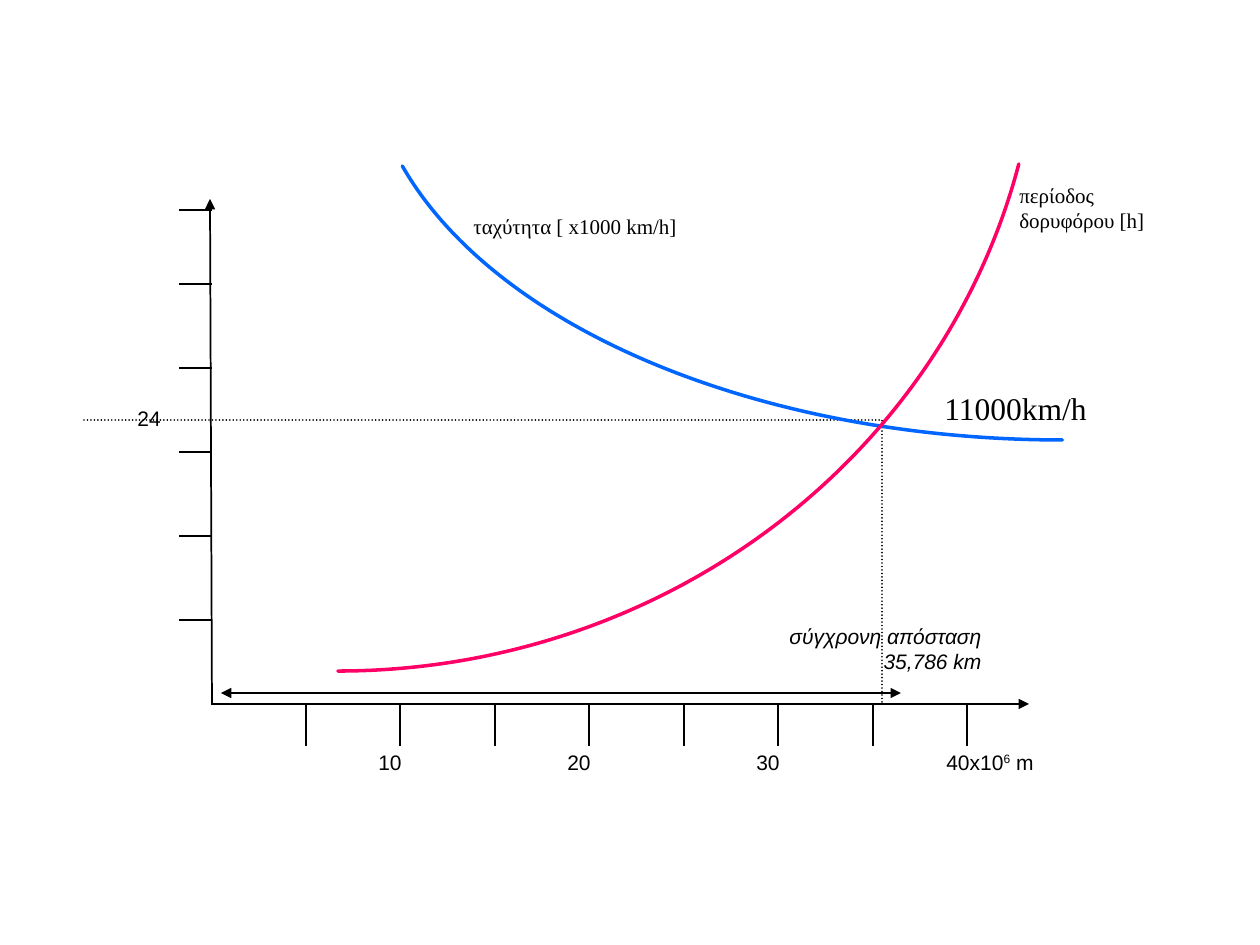
import pptx
import pptx.dml.color
import pptx.enum.dml
import pptx.enum.shapes
import pptx.enum.text
import pptx.oxml
import pptx.oxml.ns
import pptx.util
from dataclasses import dataclass

EMU_PER_PX = 914400 / 126


def px(length):
    return pptx.util.Emu(round(length * EMU_PER_PX))


@dataclass(frozen=True)
class Theme:
    ink: str = "000000"
    speed: str = "0066FF"
    period: str = "FF0066"
    sans: str = "Arial"
    serif: str = "Times New Roman"
    label_size: int = 12
    callout_size: int = 18
    thin: int = 1
    thick: int = 2


class ChartSlide:
    def __init__(self, slide, theme):
        self.slide = slide
        self.theme = theme

    def style_line(self, line, color, width):
        line.color.rgb = pptx.dml.color.RGBColor.from_string(color)
        line.width = pptx.util.Pt(width)

    def style_outline(self, shape, color, width):
        """Give an unfilled shape a line with round caps."""
        shape.shadow.inherit = False
        shape.fill.background()
        self.style_line(shape.line, color, width)
        shape.line._get_or_add_ln().set("cap", "rnd")

    def line(self, x1, y1, x2, y2, arrows=()):
        """Draw a straight line; arrows names its arrow ends, headEnd before tailEnd."""
        connector = self.slide.shapes.add_connector(
            pptx.enum.shapes.MSO_CONNECTOR.STRAIGHT, px(x1), px(y1), px(x2), px(y2))
        self.style_line(connector.line, self.theme.ink, self.theme.thin)
        for end in arrows:
            arrow = pptx.oxml.parse_xml(
                f'<a:{end} {pptx.oxml.ns.nsdecls("a")} type="triangle"/>')
            connector.line._get_or_add_ln().append(arrow)
        connector._element.spPr.append(pptx.oxml.parse_xml(
            f'<a:effectLst {pptx.oxml.ns.nsdecls("a")}/>'))

    def dotted_path(self, points):
        emu_points = [(px(x), px(y)) for x, y in points]
        builder = self.slide.shapes.build_freeform(*emu_points[0], scale=1.0)
        builder.add_line_segments(emu_points[1:], close=False)
        shape = builder.convert_to_shape()
        self.style_outline(shape, self.theme.ink, self.theme.thin)
        shape.line.dash_style = pptx.enum.dml.MSO_LINE.ROUND_DOT

    def arc(self, left, top, width, height, start, end, color):
        """Draw part of an ellipse between two angles in degrees, clockwise from the right."""
        shape = self.slide.shapes.add_shape(
            pptx.enum.shapes.MSO_SHAPE.ARC, px(left), px(top), px(width), px(height))
        for i, degrees in enumerate((start, end)):
            shape.adjustments[i] = degrees * 0.6
        self.style_outline(shape, color, self.theme.thick)

    def text(self, left, top, width, height, lines, font=None, size=None,
             italic=False, align=pptx.enum.text.PP_ALIGN.LEFT, spacing=0):
        box = self.slide.shapes.add_textbox(px(left), px(top), px(width), px(height))
        frame = box.text_frame
        frame.word_wrap = False
        frame.auto_size = pptx.enum.text.MSO_AUTO_SIZE.SHAPE_TO_FIT_TEXT
        frame.text = "\n".join(lines)
        for paragraph in frame.paragraphs:
            paragraph.alignment = align
            paragraph.space_before = paragraph.space_after = pptx.util.Pt(spacing)
            paragraph.font.name = font or self.theme.sans
            paragraph.font.size = pptx.util.Pt(size or self.theme.label_size)
            paragraph.font.italic = italic
            paragraph.font.color.rgb = pptx.dml.color.RGBColor.from_string(self.theme.ink)
        return frame.paragraphs[0]


def draw_axes(chart):
    chart.line(212, 704, 1029, 704, arrows=["tailEnd"])
    chart.line(212, 705, 210, 199, arrows=["tailEnd"])
    for i in range(8):
        x = 306 + 189 * i // 2
        chart.line(x, 705, x, 746)
    for y in [*range(620, 283, -84), 210]:
        chart.line(212, y, 179, y)

    for i, label in enumerate(["10", "20", "30"]):
        chart.text(366 + 189 * i, 743, 50, 38, [label])
    last_label = chart.text(934, 743, 116, 38, ["40x10"])
    exponent = last_label.add_run()
    exponent.text = "6"
    exponent._r.get_or_add_rPr().set("baseline", "30000")
    last_label.add_run().text = " m"
    chart.text(125, 399, 50, 38, ["24"])


def draw_synchronous_distance(chart):
    chart.dotted_path([(84, 420), (882, 420), (882, 703)])
    chart.line(221, 693, 901, 693, arrows=["headEnd", "tailEnd"])
    chart.text(774, 617, 220, 63, ["σύγχρονη απόσταση", "35,786 km"],
               italic=True, align=pptx.enum.text.PP_ALIGN.RIGHT)


def draw_curves(chart):
    theme = chart.theme
    chart.text(1007, 176, 152, 63, ["περίοδος", "δορυφόρου [h]"], font=theme.serif)
    chart.text(461, 207, 232, 38, ["ταχύτητα [ x1000 km/h]"], font=theme.serif, spacing=5)
    chart.arc(368, -355, 1389, 795, 90, 169.4, theme.speed)
    chart.arc(-364, -670, 1404, 1341, 13.5, 90, theme.period)
    chart.text(932, 383, 171, 50, ["11000km/h"], font=theme.serif, size=theme.callout_size)


def main():
    presentation = pptx.Presentation()
    presentation.slide_width = px(1260)
    presentation.slide_height = px(945)
    slide = presentation.slides.add_slide(presentation.slide_layouts[6])
    chart = ChartSlide(slide, Theme())
    draw_axes(chart)
    draw_synchronous_distance(chart)
    draw_curves(chart)
    presentation.save("out.pptx")


if __name__ == "__main__":
    main()
